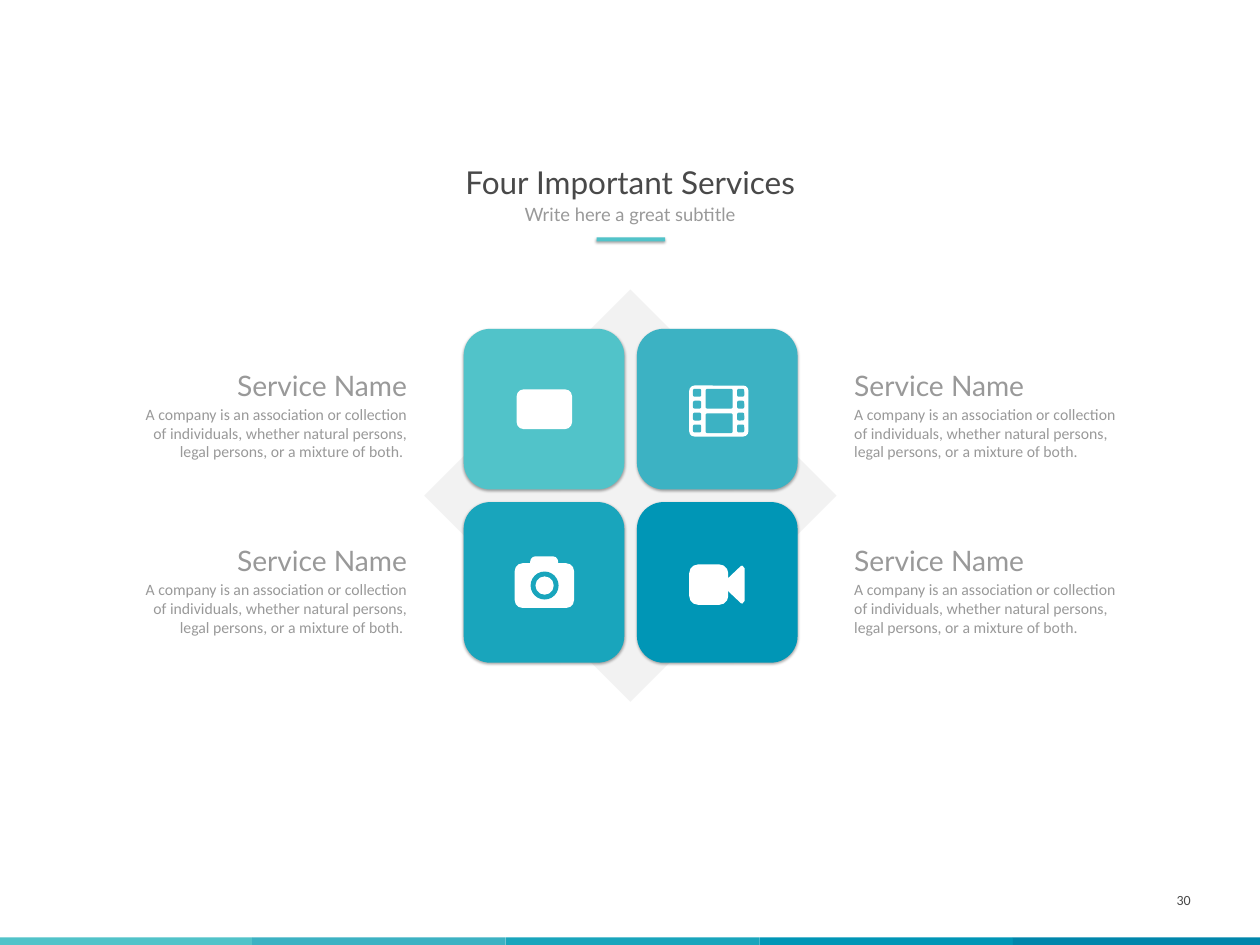
import pptx
import pptx.util
import pptx.dml.color
import pptx.enum.shapes
import pptx.enum.text
from lxml import etree

Pt = pptx.util.Pt
RGB = pptx.dml.color.RGBColor
SHAPE = pptx.enum.shapes.MSO_SHAPE
ALIGN = pptx.enum.text.PP_ALIGN
ANCHOR = pptx.enum.text.MSO_ANCHOR

TITLE = "Four Important Services"
SUBTITLE = "Write here a great subtitle"
PAGE = "30"
ABOUT = ("A company is an association or collection of individuals, "
         "whether natural persons, legal persons, or a mixture of both.")
# (column, row, tile colour, icon, heading, description)
SERVICES = [
    (0, 0, "51C3C9", "play", "Service Name", ABOUT + " "),
    (1, 0, "3CB2C3", "film", "Service Name", ABOUT),
    (0, 1, "19A5BC", "camera", "Service Name", ABOUT + " "),
    (1, 1, "0096B6", "camcorder", "Service Name", ABOUT),
]

THEME = {
    "bars": ["51C3C9", "3CB2C3", "19A5BC", "0096B6", "0086AB"],
    "accent": "51C3C9", "diamond": "F2F2F2", "icon": "FFFFFF",
    "title": {"name": "Lato", "size": Pt(36), "color": "494949"},
    "subtitle": {"name": "Lato", "size": Pt(21), "color": "999999"},
    "heading": {"name": "Lato", "size": Pt(32.2), "color": "999999"},
    "body": {"name": "Calibri", "size": Pt(18), "color": "999999"},
    "page": {"name": "Calibri", "size": Pt(16), "color": "494949"},
}

TILE, PITCH, TILE_X, TILE_Y = 183.6, 198, 529.9, 375.8
TEXT_X, TEXT_W = (144.7, 965.5), 331.2
TEXT_Y, TEXT_PITCH, BODY_DROP = 415.4, 200.9, 41.8
SERVICE_INSETS = (10.8, 5.04)
LABEL_INSETS = (7.2, 3.6)

prs = pptx.Presentation()
prs.slide_width, prs.slide_height = Pt(1440), Pt(1080)
s = prs.slides.add_slide(prs.slide_layouts[6])


def paint(sp, color):
    sp.shadow.inherit = False
    sp.fill.solid()
    sp.fill.fore_color.rgb = RGB.from_string(color)
    sp.line.fill.background()
    return sp


def add(kind, x, y, w, h, color, radius=None):
    """Add a plain preset shape; radius is the corner radius in points."""
    sp = s.shapes.add_shape(kind, Pt(x), Pt(y), Pt(w), Pt(h))
    if radius is not None:
        sp.adjustments[0] = radius / min(w, h)
    return paint(sp, color)


def rounded(x, y, w, h, color, radius):
    return add(SHAPE.ROUNDED_RECTANGLE, x, y, w, h, color, radius)


def drop_shadow(sp):
    ns = "http://schemas.openxmlformats.org/drawingml/2006/main"
    effects = sp._element.spPr.find(f"{{{ns}}}effectLst")
    shadow = etree.SubElement(
        effects, f"{{{ns}}}outerShdw", blurRad=str(Pt(3.1)),
        dist=str(Pt(1.8)), dir="5400000", rotWithShape="0")
    color = etree.SubElement(shadow, f"{{{ns}}}srgbClr", val="000000")
    etree.SubElement(color, f"{{{ns}}}alpha", val="35000")


def write(text, x, y, w, h, style, align, insets=LABEL_INSETS, spacing=None,
          wrap=True, anchor=ANCHOR.TOP):
    tf = s.shapes.add_textbox(Pt(x), Pt(y), Pt(w), Pt(h)).text_frame
    across, down = map(Pt, insets)
    frame = {"word_wrap": wrap, "vertical_anchor": anchor,
             "margin_left": across, "margin_right": across,
             "margin_top": down, "margin_bottom": down}
    for key, value in frame.items():
        setattr(tf, key, value)
    p = tf.paragraphs[0]
    p.alignment, p.line_spacing = align, spacing
    r = p.add_run()
    r.text = text
    for key, value in THEME[style].items():
        if key == "color":
            r.font.color.rgb = RGB.from_string(value)
        else:
            setattr(r.font, key, value)


# Icons are placed relative to the top left corner of their tile.
def play(x, y, tile, ink):
    rounded(x + 60.5, y + 69.2, 63.4, 45.4, ink, 8)


def film(x, y, tile, ink):
    rounded(x + 59.8, y + 64.8, 67.7, 58.3, ink, 6)
    for row in range(4):
        for hole_x, hole_w in ((64.1, 9.4), (114.5, 8.2)):
            rounded(x + hole_x, y + 68.6 + 13.6 * row, hole_w, 9, tile, 2)
    for row in range(2):
        rounded(x + 78.5, y + 68.6 + 28 * row, 31, 22.6, tile, 2)


def camera(x, y, tile, ink):
    hump = add(SHAPE.ROUND_2_SAME_RECTANGLE, x + 76, y + 62, 32, 12, ink, 6)
    hump.adjustments[1] = 0
    rounded(x + 58.3, y + 69.9, 67.9, 51.1, ink, 9)
    for diameter, color in ((32, tile), (20.9, ink)):
        add(SHAPE.OVAL, x + 92.5 - diameter / 2, y + 95.4 - diameter / 2,
            diameter, diameter, color)


def camcorder(x, y, tile, ink):
    rounded(x + 59.8, y + 71.3, 44.6, 46.1, ink, 10)
    half = [(104, 7.2), (118.8, 21.2), (120.5, 21.7), (123.1, 18.6)]
    lens = [(dx, 94.3 - dy) for dx, dy in half]
    lens += [(dx, 94.3 + dy) for dx, dy in reversed(half)]
    points = [(Pt(x + dx), Pt(y + dy)) for dx, dy in lens]
    fb = s.shapes.build_freeform(*points[0])
    fb.add_line_segments(points[1:], close=True)
    paint(fb.convert_to_shape(), ink)


ICONS = {"play": play, "film": film, "camera": camera, "camcorder": camcorder}

for i, color in enumerate(THEME["bars"]):
    add(SHAPE.RECTANGLE, -1.5 + 289.8 * i, 1071.2, 289.6, 14.4, color)

write(TITLE, 521.2, 191.5, 398.2, 42.5, "title", ALIGN.CENTER,
      spacing=0.8, wrap=False)
drop_shadow(add(SHAPE.RECTANGLE, 681.8, 271.2, 78.5, 4.6, THEME["accent"]))
write(SUBTITLE, 591.1, 233.3, 257.8, 27.4, "subtitle", ALIGN.CENTER,
      spacing=0.8, wrap=False)

add(SHAPE.DIAMOND, 484.9, 330.8, 471.2, 471.2, THEME["diamond"])
for column, row, color, icon, heading, about in SERVICES:
    x, y = TILE_X + PITCH * column, TILE_Y + PITCH * row
    drop_shadow(rounded(x, y, TILE, TILE, color, 30.6))
    ICONS[icon](x, y, color, THEME["icon"])

    align = (ALIGN.RIGHT, ALIGN.LEFT)[column]
    text_y = TEXT_Y + TEXT_PITCH * row
    write(heading, TEXT_X[column], text_y, TEXT_W, 49.7, "heading", align,
          SERVICE_INSETS)
    write(about, TEXT_X[column], text_y + BODY_DROP, TEXT_W, 76.3, "body",
          align, SERVICE_INSETS)

write(PAGE, 1044, 1000.1, 324, 57.6, "page", ALIGN.RIGHT,
      anchor=ANCHOR.MIDDLE)

prs.save("out.pptx")
